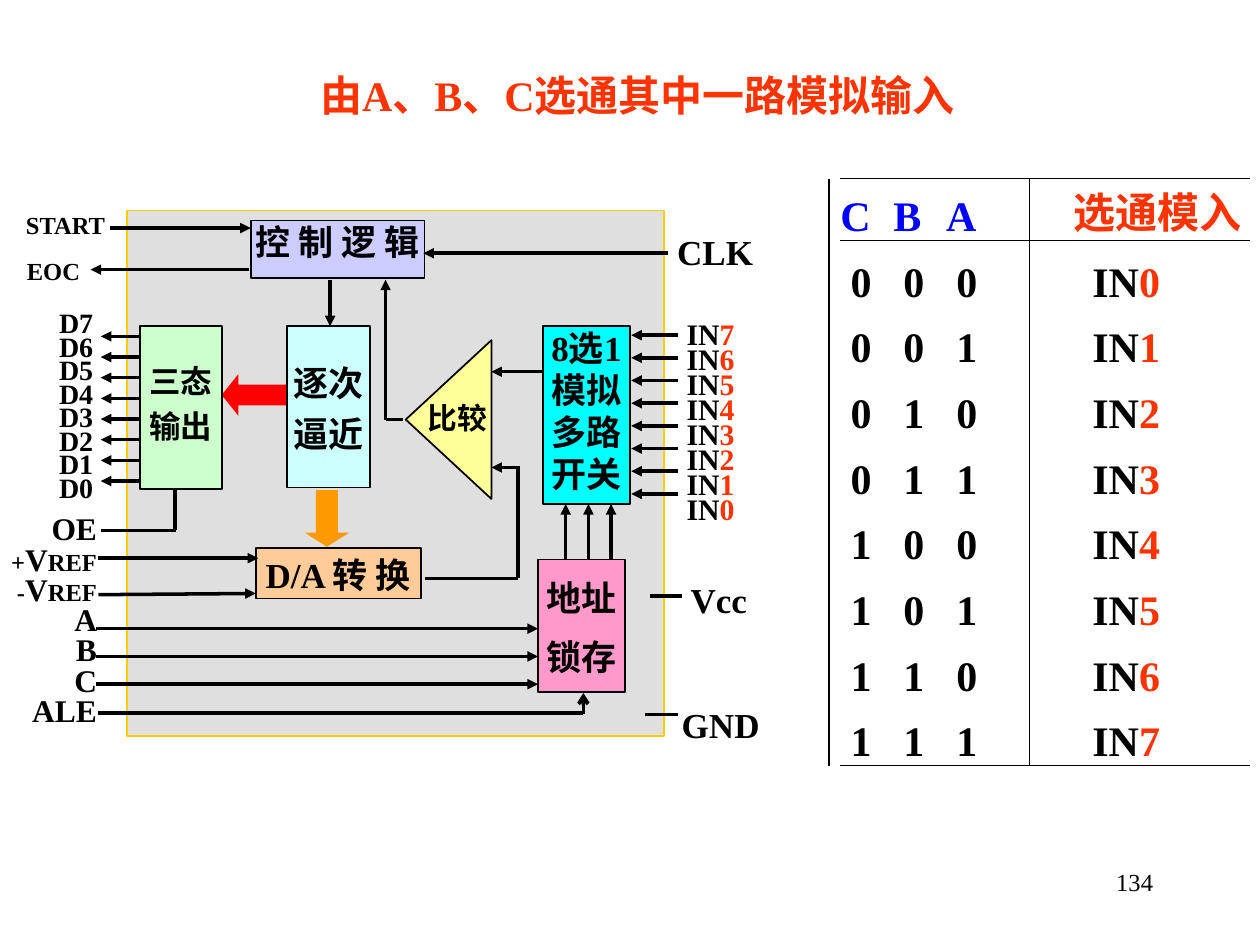
from lxml.etree import SubElement
from pptx import Presentation
from pptx.dml.color import RGBColor
from pptx.enum.shapes import MSO_CONNECTOR, MSO_SHAPE as Shape
from pptx.enum.text import MSO_ANCHOR as Anchor, MSO_AUTO_SIZE, PP_ALIGN as Align
from pptx.oxml.ns import qn
from pptx.util import Inches, Pt

COLS, ROWS = 100, 75
CELL = Inches(10) // COLS
FONT = "Times New Roman"
BLACK, RED, BLUE = "000000", "FF3300", "0000FF"


def grid(*cells):
    return [int(c * CELL) for c in cells]


def rgb(value):
    return RGBColor.from_string(value)


def style(font, size=None, color=None):
    if size:
        font.size = Pt(size)
    if color:
        font.color.rgb = rgb(color)


def write(tf, lines, size, color=BLACK, align=Align.CENTER, bold=True,
          spacing=None, after=0, insets=(0, 0, 0, 0), wrap=True):
    tf.auto_size = MSO_AUTO_SIZE.NONE
    tf.word_wrap = wrap
    tf.vertical_anchor = Anchor.TOP
    tf.margin_left, tf.margin_top, tf.margin_right, tf.margin_bottom = grid(*insets)
    for i, line in enumerate(lines):
        p = tf.add_paragraph() if i else tf.paragraphs[0]
        p.alignment = align
        p.space_after = Pt(after)
        if spacing:
            p.line_spacing = spacing
        p.font.name, p.font.bold = FONT, bold
        style(p.font, size, color)
        for text, *look in [(line,)] if isinstance(line, str) else line:
            r = p.add_run()
            r.text = text
            style(r.font, *look)


def label(s, box, lines, size, **look):
    write(s.shapes.add_textbox(*grid(*box)).text_frame, lines, size, **look)


def block(s, kind, box, fill, line=BLACK, adjust=()):
    sp = s.shapes.add_shape(kind, *grid(*box))
    sp.shadow.inherit = False
    sp.fill.solid()
    sp.fill.fore_color.rgb = rgb(fill)
    if line:
        sp.line.color.rgb = rgb(line)
        sp.line.width = Pt(1)
    else:
        sp.line.fill.background()
    for i, value in enumerate(adjust):
        sp.adjustments[i] = value
    return sp


def text_block(s, box, fill, lines, size=20, **look):
    sp = block(s, Shape.RECTANGLE, box, fill)
    write(sp.text_frame, lines, size, wrap=False, **look)


def wire(s, ends, head=None, width=2):
    cx = s.shapes.add_connector(MSO_CONNECTOR.STRAIGHT, *grid(*ends))
    cx.line.color.rgb = rgb(BLACK)
    cx.line.width = Pt(width)
    if head:
        SubElement(cx.line._get_or_add_ln(), qn("a:tailEnd"), type=head)
    SubElement(cx._element.spPr, qn("a:effectLst"))


def border(cell, sides):
    tc_pr = cell._tc.get_or_add_tcPr()
    for i, side in enumerate(("lnL", "lnR", "lnT", "lnB")):
        ln = SubElement(tc_pr, qn(f"a:{side}"), w=str(Pt(0.75)))
        if side in sides:
            fill = SubElement(ln, qn("a:solidFill"))
            SubElement(fill, qn("a:srgbClr"), val=BLACK)
        else:
            SubElement(ln, qn("a:noFill"))


def fill_cell(cell, text, color, indent, sides):
    border(cell, sides)
    cell.fill.background()
    cell.vertical_anchor = Anchor.BOTTOM
    cell.margin_left = grid(indent)[0]
    cell.margin_right = cell.margin_top = cell.margin_bottom = 0
    p = cell.text_frame.paragraphs[0]
    p.font.name, p.font.bold = FONT, True
    style(p.font, 24, color)
    for part, *look in text:
        r = p.add_run()
        r.text = part
        style(r.font, *look)


def truth_table(s):
    table = s.shapes.add_table(9, 4, *grid(66.7, 14.2, 32.5, 46.6)).table
    table.first_row = table.horz_banding = False
    for column, width in zip(table.columns, grid(4.2, 4.2, 6.6, 17.5)):
        column.width = width
    for i, row in enumerate(table.rows):
        row.height = grid(5.21 if i else 4.9)[0]
        if i:
            texts = [[(bit,)] for bit in f"{i - 1:03b}"] + [[("IN",), (str(i - 1), None, RED)]]
        else:
            texts = [[(t,)] for t in ("C", "B", "A", "选通模入")]
        rules = {0: ["lnT", "lnB"], 1: ["lnT"], 8: ["lnB"]}.get(i, [])
        for j, (cell, text) in enumerate(zip(row.cells, texts)):
            last = j == 3
            color = BLACK if i else RED if last else BLUE
            indent = (5 if i else 3.5) if last else (0.8 if i else 0)
            sides = rules + {2: ["lnR"], 3: ["lnL"]}.get(j, [])
            fill_cell(cell, text, color, indent, sides)
    wire(s, (65.8, 14.2, 65.8, 60.8), width=0.75)


def blocks(s):
    chip = block(s, Shape.RECTANGLE, (10.1, 16.7, 42.6, 41.7), "C0C0C0", "FFCC00")
    tint = chip.fill._xPr.find(qn("a:solidFill"))[0]
    SubElement(tint, qn("a:alpha"), val="50000")
    block(s, Shape.LEFT_ARROW, (17.6, 29.7, 5.4, 3.3), "FF0000", None, (0.5, 0.4))
    block(s, Shape.DOWN_ARROW, (24.2, 38.9, 3.5, 4.5), "FF9900", None, (0.5, 0.32))
    block(s, Shape.ISOSCELES_TRIANGLE, (29.3, 29.9, 12.6, 6.8), "FFFF99").rotation = 270
    label(s, (33.6, 31.7, 5.4, 2.5), ["比较"], 17)
    text_block(s, (11.1, 25.9, 6.5, 12.9), "CCFFCC", ["三态", "输出"], 18,
               after=4.5, insets=(0, 2.8, 0, 0))
    text_block(s, (22.8, 25.9, 6.6, 12.8), "CCFFFF", ["逐次", "逼近"],
               after=5, insets=(0, 2.8, 0, 0))
    text_block(s, (43.1, 25.9, 6.9, 14.1), "00FFFF", ["8选1", "模拟", "多路", "开关"])
    text_block(s, (42.7, 44.4, 6.9, 10.5), "FF99CC", ["地址", "锁存"], spacing=1.4)
    text_block(s, (20.3, 43.5, 13.1, 4), "FFCC99", ["D/A 转 换"], insets=(0, 0.4, 0, 0))
    text_block(s, (19.9, 17.5, 13.8, 4.6), "CCCCFF", ["控 制 逻 辑"])


def wires(s):
    for ends in ((30.6, 33.3, 32, 33.3), (33.7, 45.9, 41.1, 45.9), (41.1, 45.9, 41.1, 37.1),
                 (7.8, 56.6, 46.3, 56.6), (13.9, 38.8, 13.9, 42.1), (8, 42.1, 14, 42.1),
                 (51.6, 47.3, 54.1, 47.3), (51.2, 56.7, 53.8, 56.7)):
        wire(s, ends)
    arrows = [(41.3, 37.1, 39, 37.1), (30.6, 33.3, 30.6, 22.2), (26.2, 22.2, 26.2, 25.9),
              (8.7, 18.1, 19.9, 18.1), (19.8, 21.4, 7.2, 21.4), (53, 20.1, 33.6, 20.1),
              (43.1, 29.5, 39, 29.5), (7.8, 44.3, 20.5, 44.3), (7.8, 47.2, 20.3, 47.1)]
    arrows += [(7.6, 49.9 + 2.2 * i, 42.7, 49.9 + 2.2 * i) for i in range(3)]
    arrows += [(44.9 + 1.8 * i, 44.4, 44.9 + 1.8 * i, 40) for i in range(3)]
    for i in range(8):
        data, channel = 26.7 + 1.64 * i, 26.6 + 1.8 * i
        arrows += [(11.1, data, 8, data), (53.8, channel, 50.1, channel)]
    for ends in arrows:
        wire(s, ends, "triangle")
    wire(s, (46.3, 56.7, 46.3, 55), "arrow")


def pins(s):
    label(s, (1.9, 16.7, 6.6, 2.3), ["START"], 14)
    label(s, (2.1, 20.3, 4.3, 2.3), ["EOC"], 14)
    label(s, (53.3, 18.3, 6.9, 1.8), ["CLK"], 20)
    label(s, (54, 45.9, 6.1, 3.3), ["Vcc"], 20)
    label(s, (52.7, 55.8, 9, 2.5), ["GND"], 20)
    numbers = range(7, -1, -1)
    label(s, (3.7, 25, 3.7, 13), [f"D{n}" for n in numbers], 16,
          align=Align.RIGHT, spacing=0.7)
    label(s, (53.5, 25.8, 5.8, 14.1), [[("IN",), (str(n), None, RED)] for n in numbers], 17,
          spacing=0.7)
    references = [[(sign, 14), ("V",), ("REF", 14)] for sign in "+-"]
    label(s, (0.2, 41, 7.5, 17.3), ["OE", *references, "A", "B", "C", "ALE"], 18,
          align=Align.RIGHT, spacing=0.8)


def heading(s):
    title = s.shapes.title
    title.left, title.top, title.width, title.height = grid(24.4, 5, 52.4, 5)
    write(title.text_frame, ["由A、B、C选通其中一路模拟输入"], 24, color=RED,
          align=Align.JUSTIFY, insets=(1, 0.5, 1, 0.5))


def main():
    prs = Presentation()
    prs.slide_width, prs.slide_height = grid(COLS, ROWS)
    s = prs.slides.add_slide(prs.slide_layouts[5])
    heading(s)
    blocks(s)
    wires(s)
    pins(s)
    truth_table(s)
    label(s, (71.7, 68.3, 20.8, 5), ["134"], 14, align=Align.RIGHT, bold=False,
          insets=(1, 0.5, 1, 0.5))
    prs.save("out.pptx")


if __name__ == "__main__":
    main()
